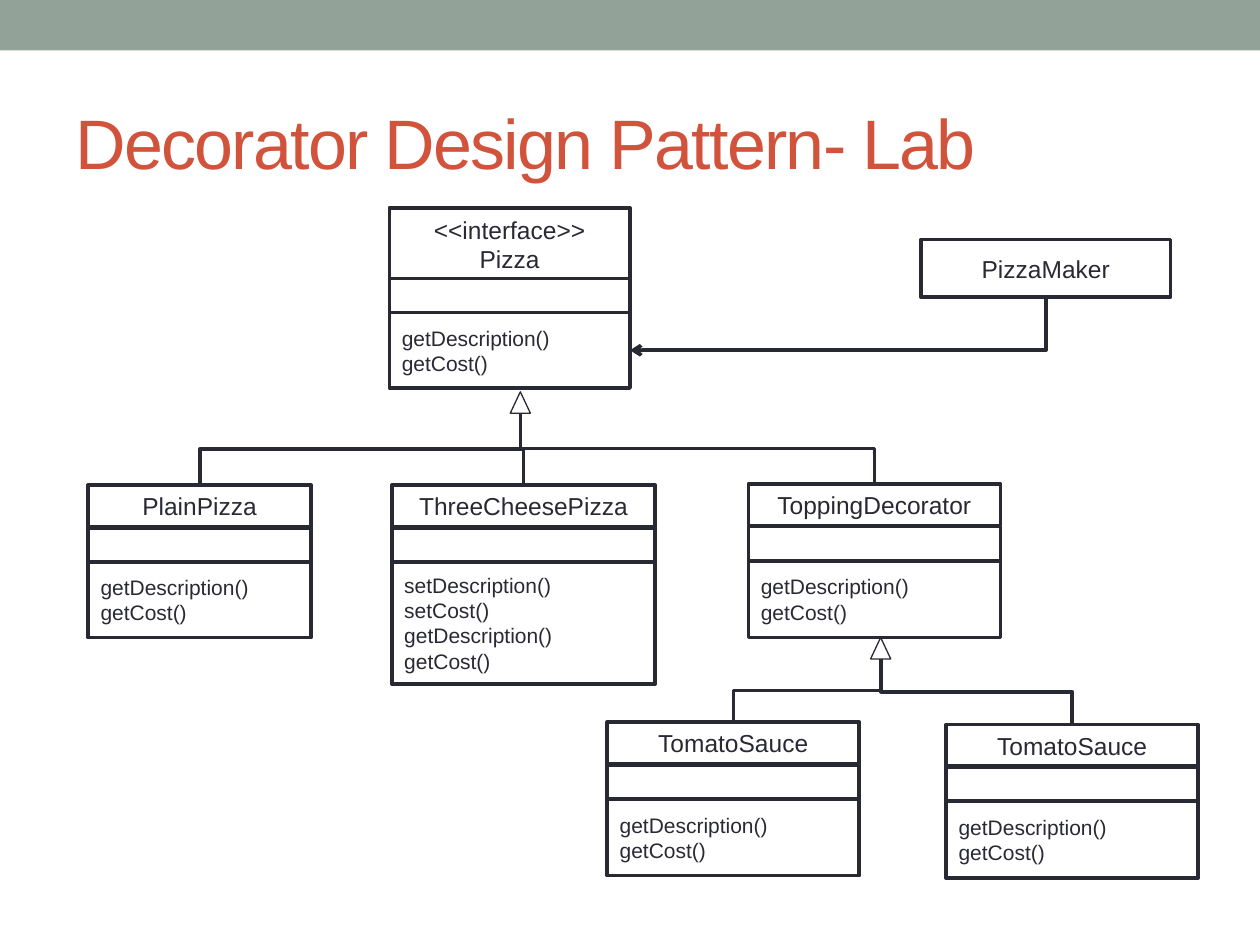
from pptx import Presentation
from pptx.dml.color import RGBColor
from pptx.enum.shapes import MSO_CONNECTOR, MSO_SHAPE
from pptx.enum.text import MSO_ANCHOR, PP_ALIGN
from pptx.oxml.ns import qn
from pptx.util import Inches, Pt
from lxml.etree import SubElement

INK = RGBColor(0x29, 0x29, 0x34)
RUST = RGBColor(0xD2, 0x53, 0x3C)
SAGE = RGBColor(0x93, 0xA2, 0x99)
WHITE = RGBColor(0xFF, 0xFF, 0xFF)


def apply(item, style):
    for key, value in style.items():
        setattr(item, key, value)


class Sheet:
    head = {"size": Pt(14), "name": "Arial"}
    body = {"size": Pt(12), "name": "Arial"}
    title_font = {"size": Pt(40), "name": "Arial", "bold": False}
    stroke = Pt(2.08)

    def __init__(self, deck):
        self.slide = deck.slides.add_slide(deck.slide_layouts[5])
        self.shapes = self.slide.shapes

    def fill_text(self, shape, text, font, color, align):
        frame = shape.text_frame
        frame.text = text
        apply(frame, {"word_wrap": True, "vertical_anchor": MSO_ANCHOR.MIDDLE})
        for para in frame.paragraphs:
            para.alignment = align
            for run in para.runs:
                apply(run.font, font)
                run.font.color.rgb = color

    def title(self, text, x, y, w, h):
        shape = self.shapes.title
        apply(shape, {"left": Inches(x), "top": Inches(y),
                      "width": Inches(w), "height": Inches(h)})
        self.fill_text(shape, text, self.title_font, RUST, PP_ALIGN.LEFT)
        for props in shape.element.iter(qn("a:rPr")):
            props.set("spc", "-100")

    def shape(self, x, y, w, h, kind=MSO_SHAPE.RECTANGLE, fill=WHITE, line=stroke):
        shape = self.shapes.add_shape(kind, Inches(x), Inches(y), Inches(w), Inches(h))
        shape.shadow.inherit = False
        shape.fill.solid()
        shape.fill.fore_color.rgb = fill
        if line:
            shape.line.color.rgb = INK
            shape.line.width = line
        else:
            shape.line.fill.background()
        return shape

    def label(self, text, x, y, w, h):
        self.fill_text(self.shape(x, y, w, h), text, self.head, INK, PP_ALIGN.CENTER)

    def entity(self, name, calls, x, y, w, tall=0.61, top=0.33, gap=0.01):
        self.label(name, x, y, w, top)
        mid = y + top + gap
        self.shape(x, mid, w, 0.27)
        box = self.shape(x, mid + 0.27, w, tall)
        self.fill_text(box, calls, self.body, INK, PP_ALIGN.LEFT)

    def tip(self, x, y):
        self.shape(x - 0.08, y, 0.16, 0.17, MSO_SHAPE.ISOSCELES_TRIANGLE, line=Pt(0.75))

    def elbow(self, x, y, to_x, to_y, arrow=False):
        w, h = to_y - y, abs(to_x - x)
        left, top = (x + to_x - w) / 2, (y + to_y - h) / 2
        link = self.shapes.add_connector(
            MSO_CONNECTOR.ELBOW, Inches(left), Inches(top), Inches(left + w), Inches(top + h))
        link.line.color.rgb = INK
        link.line.width = self.stroke
        props = link.element.spPr
        frame = props.find(qn("a:xfrm"))
        if to_x < x:
            frame.set("rot", "5400000")
        else:
            frame.set("rot", "16200000")
            frame.set("flipH", "1")
        if arrow:
            props.find(qn("a:prstGeom")).set("prst", "bentConnector2")
            SubElement(props.find(qn("a:ln")), qn("a:tailEnd"), type="arrow")
        SubElement(props, qn("a:effectLst"))


deck = Presentation()
deck.slide_width, deck.slide_height = Inches(10), Inches(7.5)
sheet = Sheet(deck)
sheet.shape(0, 0, 10, 0.4, fill=SAGE, line=None)
sheet.title("Decorator Design Pattern- Lab", 0.5, 0.58, 9, 1.08)

GETS = "getDescription()\ngetCost()"
SETS = "setDescription()\nsetCost()\n"
sheet.entity("<<interface>>\nPizza", GETS, 3.09, 1.65, 1.91, 0.6, 0.58, -0.02)
sheet.label("PizzaMaker", 7.31, 1.9, 1.98, 0.46)
sheet.elbow(8.3, 2.36, 5, 2.78, arrow=True)

trees = [
    (4.13, 3.11, [
        ("PlainPizza", GETS, 0.7, 3.85, 1.77, 0.6),
        ("ThreeCheesePizza", SETS + GETS, 3.11, 3.85, 2.09, 0.97),
        ("ToppingDecorator", GETS, 5.94, 3.84, 2),
    ]),
    (6.99, 5.06, [
        ("TomatoSauce", GETS, 4.82, 5.73, 2),
        ("TomatoSauce", GETS, 7.51, 5.75, 2),
    ]),
]
for tip_x, tip_y, kids in trees:
    sheet.tip(tip_x, tip_y)
    for kid in kids:
        sheet.entity(*kid)
        x, y, w = kid[2:5]
        sheet.elbow(tip_x, tip_y + 0.17, x + w / 2, y)

deck.save("out.pptx")
